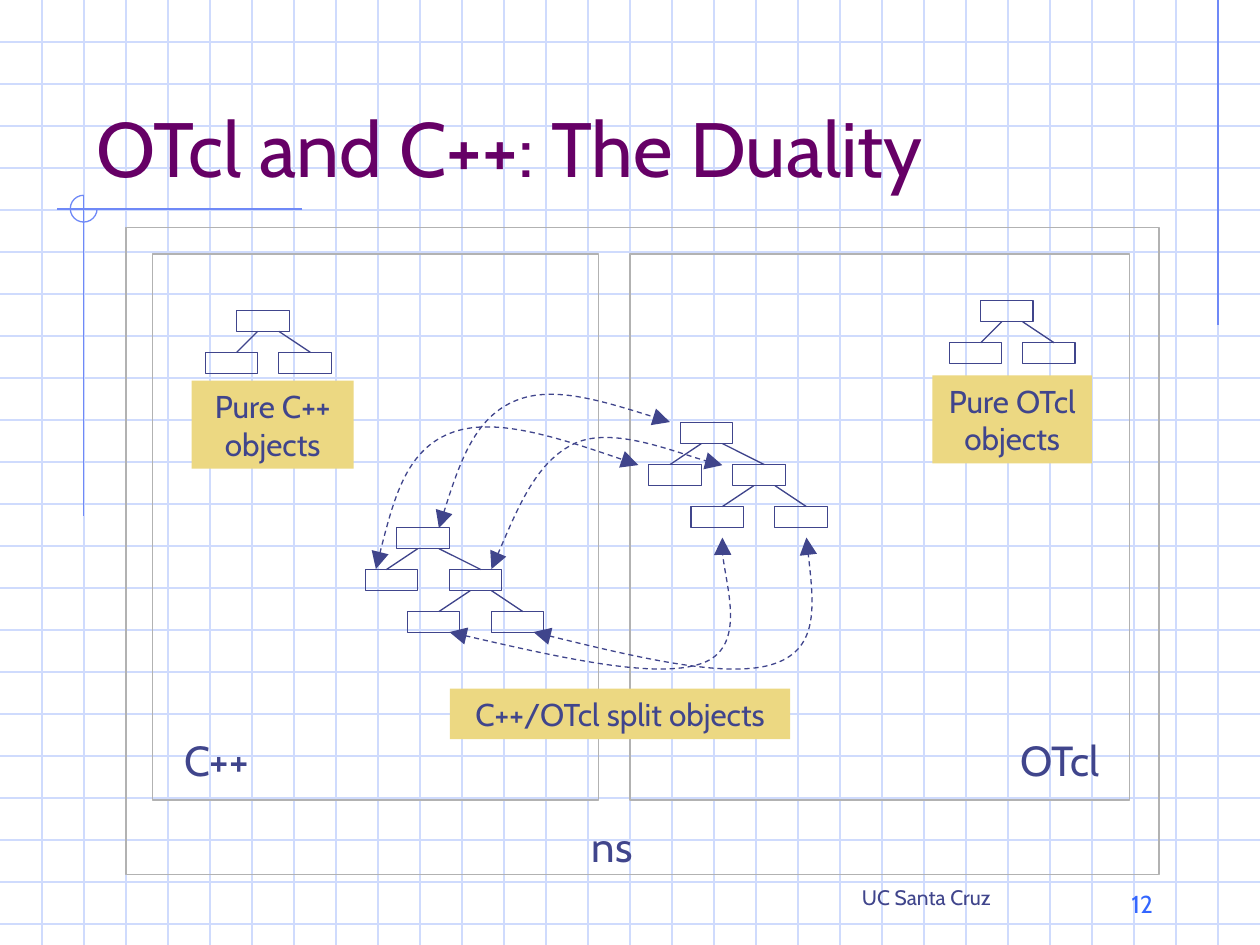
from dataclasses import dataclass
from lxml import etree
from pptx import Presentation
from pptx import util as u
from pptx.dml.color import RGBColor
from pptx.enum import dml, shapes, text
from pptx.oxml.ns import qn


@dataclass(frozen=True)
class Theme:
    font: str = "Cabin"
    grid: str = "CFDBFD"
    accent: str = "6F89F7"
    ink: str = "40458C"
    frame: str = "B2B2B2"
    label: str = "ECD882"
    title: str = "660066"
    number: str = "3366FF"
    title_size: int = 44
    name_size: int = 24
    label_size: int = 18
    number_size: int = 14
    footer_size: int = 12


theme = Theme()
COLUMNS, ROWS = 120, 90
cell = u.Inches(10) // COLUMNS

deck = Presentation()
deck.slide_width, deck.slide_height = cell * COLUMNS, cell * ROWS
page = deck.slides.add_slide(deck.slide_layouts[5])
Kind = shapes.MSO_SHAPE
Align = text.PP_ALIGN
Anchor = text.MSO_ANCHOR


def outline(shape, color):
    shape.line.color.rgb = RGBColor.from_string(color)
    shape.line.width = u.Pt(0.75)
    etree.SubElement(shape._element.spPr, qn("a:effectLst"))
    if hasattr(shape, "fill"):
        shape.fill.background()


def write(box, lines, size, color, align=Align.LEFT, anchor=Anchor.MIDDLE, wrap=False):
    frame = box.text_frame
    frame.word_wrap = wrap
    frame.auto_size = text.MSO_AUTO_SIZE.NONE
    frame.vertical_anchor = anchor
    for index, line in enumerate(lines):
        para = frame.add_paragraph() if index else frame.paragraphs[0]
        para.alignment = align
        span = para.add_run()
        span.text = line
        span.font.name = theme.font
        span.font.size = u.Pt(size)
        span.font.color.rgb = RGBColor.from_string(color)


rules = [(0, row, COLUMNS, row, theme.grid) for row in range(4, ROWS, 4)]
rules += [(column, 0, column, ROWS, theme.grid) for column in range(4, COLUMNS, 4)]
rules += [
    (116, 0, 116, 31, theme.accent),
    (28.8, 19.9, 5.4, 19.9, theme.accent),
    (7.95, 18.6, 7.95, 49.1, theme.accent),
]

small_tree = (
    [(-3, 4), (0, 0), (4, 4)],
    [(2, 2, 0, 4), (4, 2, 7, 4)],
)
large_tree = (
    [(0, 0), (-3, 4), (5, 4), (9, 8), (1, 8)],
    [(2, 2, -1, 4), (4, 2, 8, 4), (7, 6, 4, 8), (9, 6, 12, 8)],
)
trees = [
    (22.55, 29.55, small_tree),
    (37.8, 50.25, large_tree),
    (93.4, 28.65, small_tree),
    (64.8, 40.25, large_tree),
]
nodes = []
for left, top, (boxes, branches) in trees:
    nodes += [(left + x, top + y, 5, 2, theme.ink) for x, y in boxes]
    rules += [(left + x1, top + y1, left + x2, top + y2, theme.ink)
              for x1, y1, x2, y2 in branches]

for *ends, color in rules:
    rule = page.shapes.add_connector(
        shapes.MSO_CONNECTOR.STRAIGHT, *(int(cell * n) for n in ends))
    outline(rule, color)

arc = page.shapes.add_shape(
    Kind.ARC, *(int(cell * n) for n in (6.7, 18.6, 2.55, 2.55)))
arc.adjustments[0], arc.adjustments[1] = 0, 162
outline(arc, theme.accent)

title = page.shapes.title
title.left, title.top, title.width, title.height = (
    int(cell * n) for n in (8, 4, 102, 15))
write(title, ["OTcl and C++: The Duality"], theme.title_size, theme.title,
      anchor=Anchor.BOTTOM, wrap=True)
page.shapes._spTree.append(title._element)

frames = [
    (14.5, 24.2, 42.5, 52, theme.frame),
    (60, 24.2, 47.55, 52, theme.frame),
    (12, 21.7, 98.4, 61.6, theme.frame),
]
for *place, color in frames + nodes:
    box = page.shapes.add_shape(Kind.RECTANGLE, *(int(cell * n) for n in place))
    outline(box, color)

links = [
    [(46.8, 54.2), (49, 49.1), (51.1, 43.9), (54.8, 42.2),
     (58.4, 40.6), (66.5, 43.9), (68.8, 44.3)],
    [(42.8, 60.2), (52.7, 62.5), (62.5, 64.7), (66.8, 63.2),
     (71.2, 61.7), (68.4, 53.3), (68.8, 51.2)],
    [(50.8, 60.2), (60.1, 62.5), (69.5, 64.7), (73.8, 63.2),
     (78.1, 61.7), (77.4, 56.5), (76.8, 51.2)],
    [(35.8, 54.2), (37.2, 48.6), (38.6, 43), (42.8, 41.3),
     (46.9, 39.6), (53.9, 41.9), (60.8, 44.3)],
    [(41.8, 50.3), (43.4, 45.1), (45.1, 40), (48.8, 38.3),
     (52.4, 36.6), (58.1, 38.4), (63.8, 40.2)],
]
for link in links:
    start, *points = [(cell * x, cell * y) for x, y in link]
    builder = page.shapes.build_freeform(*start)
    builder.add_line_segments(points, close=False)
    curve = builder.convert_to_shape()
    outline(curve, theme.ink)
    curve.line.dash_style = dml.MSO_LINE.DASH
    for end in ("a:headEnd", "a:tailEnd"):
        etree.SubElement(curve.line._ln, qn(end), type="triangle", w="lg", len="lg")
    track = curve._element.xpath(".//a:path")[0]
    segments = track.findall(qn("a:lnTo"))
    for first in range(0, len(segments), 3):
        bezier = etree.SubElement(track, qn("a:cubicBezTo"))
        for segment in segments[first:first + 3]:
            bezier.append(segment[0])
            track.remove(segment)

labels = [
    (18.25, 36.25, 15.45, 8.4, ["Pure C++", "objects"]),
    (88.8, 35.75, 15.2, 8.4, ["Pure OTcl", "objects"]),
    (42.85, 65.6, 32.4, 4.8, ["C++/OTcl split objects"]),
]
for *place, lines in labels:
    label = page.shapes.add_shape(Kind.RECTANGLE, *(int(cell * n) for n in place))
    label.shadow.inherit = False
    label.fill.solid()
    label.fill.fore_color.rgb = RGBColor.from_string(theme.label)
    label.line.fill.background()
    write(label, lines, theme.label_size, theme.ink, Align.CENTER)

names = [
    (16.35, 69.4, 9.5, 6, "C++", theme.name_size),
    (96, 69.4, 10.7, 6, "OTcl", theme.name_size),
    (55.2, 77.55, 6.85, 6, "ns", theme.name_size),
    (80.9, 83.65, 15.7, 3.6, "UC Santa Cruz", theme.footer_size),
]
for *place, name, size in names:
    box = page.shapes.add_textbox(*(int(cell * n) for n in place))
    write(box, [name], size, theme.ink)

number = page.shapes.add_textbox(*(int(cell * n) for n in (86, 83.65, 25, 4.45)))
write(number, ["12"], theme.number_size, theme.number, Align.RIGHT, Anchor.BOTTOM, True)

deck.save("out.pptx")
